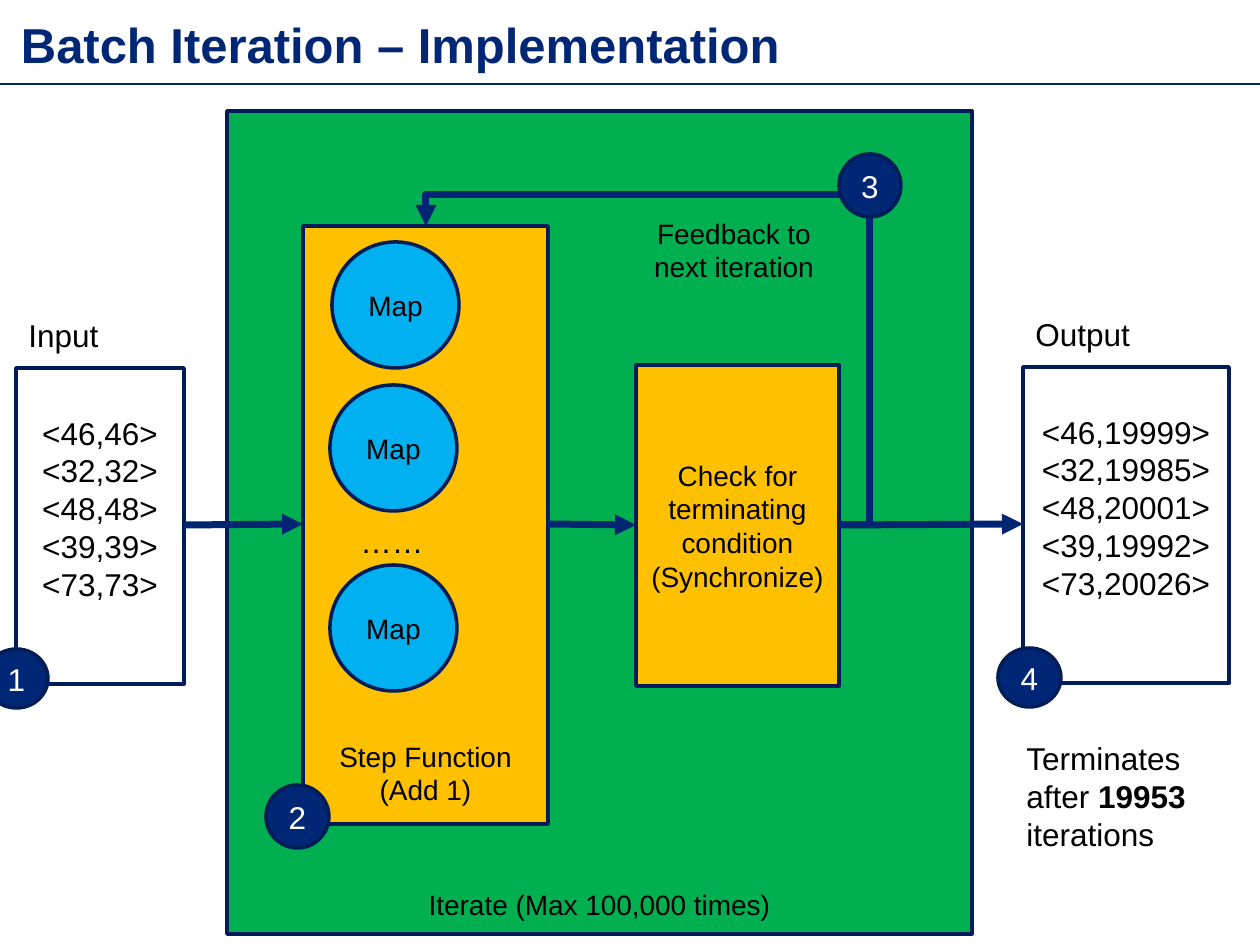
from dataclasses import dataclass
from lxml.etree import SubElement
from pptx import Presentation
from pptx.dml.color import RGBColor
from pptx.enum.shapes import MSO_CONNECTOR, MSO_SHAPE
from pptx.enum.text import MSO_ANCHOR, PP_ALIGN
from pptx.oxml.ns import qn
from pptx.util import Emu, Pt


@dataclass(frozen=True)
class Theme:
    """Hold the colours, font and sizes of the slide."""
    font: str = "Arial"
    navy: str = "002776"
    edge: str = "001D57"
    rule: str = "002673"
    green: str = "00B050"
    gold: str = "FFC000"
    sky: str = "00B0F0"
    black: str = "000000"
    white: str = "FFFFFF"
    head: int = 28
    body: int = 18
    small: int = 16


T = Theme()


def px(n):
    """Turn pixels into EMU."""
    return Emu(round(n * 914400 / 126))


def rgb(code):
    """Turn a hex code into a colour."""
    return RGBColor.from_string(code)


def write(shape, lines, size, color=T.black, align=PP_ALIGN.CENTER):
    """Write lines, each a list of (text, bold) runs or a plain string."""
    frame = shape.text_frame
    frame.word_wrap = True
    for i, line in enumerate(lines):
        para = frame.paragraphs[0] if i == 0 else frame.add_paragraph()
        para.alignment = align
        for text, bold in [(line, False)] if isinstance(line, str) else line:
            run = para.add_run()
            run.text = text
            run.font.name = T.font
            run.font.size = Pt(size)
            run.font.bold = bold
            run.font.color.rgb = rgb(color)
    return frame


def label(slide, box, lines, size, color=T.black, align=PP_ALIGN.CENTER):
    """Add a text box."""
    shape = slide.shapes.add_textbox(*map(px, box))
    return write(shape, lines, size, color, align)


def block(slide, kind, box, fill=None, lines=(), size=T.small, color=T.black):
    """Add an outlined shape with centred text."""
    shape = slide.shapes.add_shape(kind, *map(px, box))
    shape.shadow.inherit = False
    if fill:
        shape.fill.solid()
        shape.fill.fore_color.rgb = rgb(fill)
    else:
        shape.fill.background()
    shape.line.color.rgb = rgb(T.edge)
    shape.line.width = Pt(2)
    frame = write(shape, lines, size, color)
    frame.vertical_anchor = MSO_ANCHOR.MIDDLE
    return frame


def badge(slide, box, num):
    """Add a numbered step marker."""
    block(slide, MSO_SHAPE.OVAL, box, T.navy, [num], T.body, T.white)


def link(slide, start, end, width=4, head=True, kind=MSO_CONNECTOR.STRAIGHT):
    """Join two points with a line or an arrow."""
    line = slide.shapes.add_connector(kind, *map(px, start + end))
    line.line.color.rgb = rgb(T.rule)
    line.line.width = Pt(width)
    props = line._element.spPr
    if head:
        SubElement(props.find(qn("a:ln")), qn("a:tailEnd"), type="triangle")
    SubElement(props, qn("a:effectLst"))
    return props


def loop(slide, start, end, out, rise):
    """Add an arrow that leaves to the right and comes back from above."""
    props = link(slide, start, end, kind=MSO_CONNECTOR.ELBOW)
    geom = props.find(qn("a:prstGeom"))
    geom.set("prst", "bentConnector4")
    wide, high = start[0] - end[0], start[1] - end[1]
    ratios = (-out / wide, 1 + rise / high)
    for i, ratio in enumerate(ratios, 1):
        SubElement(geom.find(qn("a:avLst")), qn("a:gd"),
                   name=f"adj{i}", fmla=f"val {round(ratio * 100000)}")


def title(slide, box, text):
    """Add the heading and the rule below it."""
    x, y, w, h = box
    frame = label(slide, (x + 21, y + 21, w - 112, 37), [[(text, True)]],
                  T.head, T.navy, PP_ALIGN.LEFT)
    frame.margin_left = frame.margin_right = 0
    frame.margin_top = frame.margin_bottom = 0
    frame.paragraphs[0].line_spacing = 0.9
    link(slide, (x, y + h), (x + w, y + h), 0.75, False)


def data(slide, box, name, rows, num, shift):
    """Add a named list of pairs with its marker."""
    x, y, w, h = box
    frame = block(slide, MSO_SHAPE.FLOWCHART_PROCESS, box, None, rows, T.body)
    frame.margin_bottom = px(42)
    label(slide, (x, y - 58, w, 50), [name], T.body, align=PP_ALIGN.LEFT)
    badge(slide, (x + shift, y + 281, 63, 59), num)


def step(slide, box):
    """Add the step function with its maps."""
    x, y, w, h = box
    block(slide, MSO_SHAPE.FLOWCHART_PROCESS, box, T.gold)
    for dx, dy in ((29, 16), (27, 159), (27, 339)):
        block(slide, MSO_SHAPE.OVAL, (x + dx, y + dy, 127, 126), T.sky, ["Map"])
    label(slide, (x + 45, y + 290, 92, 50), ["……"], T.body,
          align=PP_ALIGN.LEFT)
    label(slide, (x, y + h - 91, w, 81), ["Step Function", "(Add 1)"], T.small)
    badge(slide, (x - 37, y + h - 39, 63, 63), "2")


def cycle(slide, box):
    """Add the iteration area with its step, check and feedback."""
    x, y, w, h = box
    block(slide, MSO_SHAPE.RECTANGLE, box, T.green)
    label(slide, (x, y + h - 53, w, 47), ["Iterate (Max 100,000 times)"], T.small)
    step(slide, (x + 76, y + 115, 245, 598))
    block(slide, MSO_SHAPE.FLOWCHART_PROCESS, (x + 409, y + 254, 203, 321),
          T.gold, ["Check for terminating condition", "(Synchronize)"])
    link(slide, (x + 321, y + 413), (x + 409, y + 414))
    loop(slide, (x + 612, y + 414), (x + 199, y + 115), 31, 32)
    label(slide, (x + 364, y + 99, 286, 81),
          ["Feedback to", "next iteration"], T.small)
    badge(slide, (x + 612, y + 43, 62, 63), "3")


def main():
    """Build the slide and save it."""
    deck = Presentation()
    deck.slide_width, deck.slide_height = px(1260), px(945)
    slide = deck.slides.add_slide(deck.slide_layouts[6])
    title(slide, (0, 0, 1260, 84), "Batch Iteration – Implementation")
    keys = (46, 32, 48, 39, 73)
    limit = 19953
    data(slide, (16, 368, 168, 316), "Input",
         [f"<{k},{k}>" for k in keys], "1", -31)
    cycle(slide, (227, 111, 745, 823))
    link(slide, (184, 525), (303, 524))
    data(slide, (1023, 367, 206, 316), "Output",
         [f"<{k},{k + limit}>" for k in keys], "4", -25)
    link(slide, (839, 525), (1023, 524))
    note = [("Terminates after ", False), (str(limit), True),
            (" iterations", False)]
    label(slide, (1014, 733, 219, 127), [note], T.body, align=PP_ALIGN.LEFT)
    deck.save("out.pptx")


if __name__ == "__main__":
    main()
